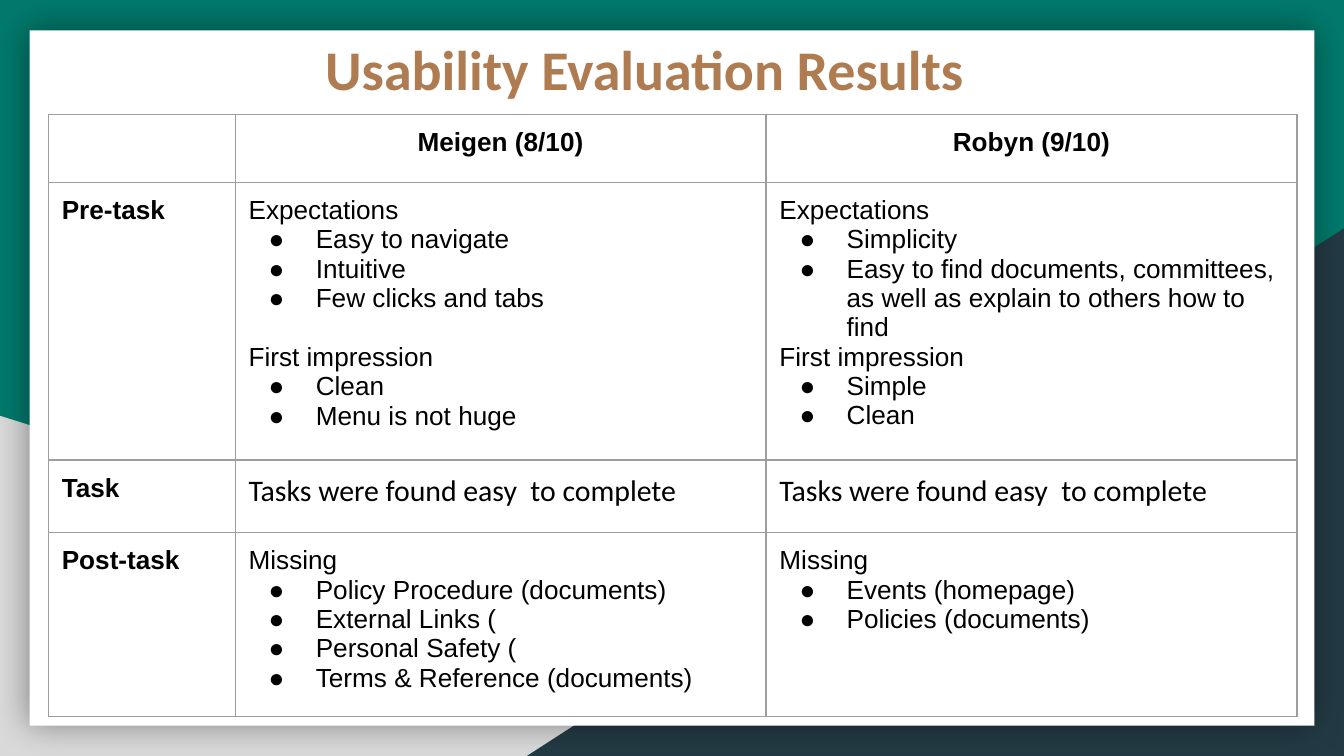
from dataclasses import dataclass

from lxml import etree
from pptx import Presentation
from pptx import util as u
from pptx.dml.color import RGBColor
from pptx.enum import shapes, text
from pptx.oxml.ns import qn

HUES = {
    "green": "00796B", "grey": "D9D9D9", "navy": "233A44", "white": "FFFFFF",
    "brown": "AF7B51", "black": "000000", "rule": "9E9E9E",
}
WIDE, HIGH = u.Inches(10), u.Inches(5.625)
COLS = (13.9, 39.5, 39.5)     # percent of slide width
ROWS = (9, 34.6, 9.6, 23)     # percent of slide height
PAD = u.Inches(0.1)


@dataclass
class Box:
    """A place on the slide, in percent of its width and height."""
    left: float
    top: float
    width: float
    height: float

    def spot(self) -> tuple:
        return (across(self.left), down(self.top),
                across(self.width), down(self.height))


@dataclass
class Panel:
    kind: shapes.MSO_SHAPE
    box: Box
    hue: str
    flip: bool = False
    glow: bool = False


@dataclass
class Line:
    words: str
    dot: bool = False
    gap: int = 0


@dataclass
class Style:
    size: int = 14
    face: str = "Arial"
    bold: bool = False
    hue: str = "black"


def across(share: float) -> int:
    return round(WIDE * share / 100)


def down(share: float) -> int:
    return round(HIGH * share / 100)


def tint(name: str) -> RGBColor:
    return RGBColor.from_string(HUES[name])


def node(root, tag: str, **attrs):
    return etree.SubElement(root, qn(tag), **attrs)


def points(head: str, *words: str, gap: int = 0) -> list[Line]:
    """A heading line and the bullets under it."""
    return [Line(head, gap=gap)] + [Line(word, dot=True) for word in words]


PANELS = (
    Panel(shapes.MSO_SHAPE.RIGHT_TRIANGLE, Box(0, 55, 80.6, 45), "grey"),
    Panel(shapes.MSO_SHAPE.RIGHT_TRIANGLE, Box(39.2, 30.2, 60.8, 69.8), "navy", flip=True),
    Panel(shapes.MSO_SHAPE.RECTANGLE, Box(2.2, 4, 95.6, 92), "white", glow=True),
)
TITLE = Box(20.7, 2.8, 58.6, 14.6)
GRID = Box(3.6, 15.1, sum(COLS), sum(ROWS))

PLAIN, BOLD = Style(), Style(bold=True)
LARGE = Style(16, "Calibri")
DONE = [Line("Tasks were found easy  to complete")]
CELLS = (
    ([], [Line("Meigen (8/10)")], [Line("Robyn (9/10)")]),
    ([Line("Pre-task")],
     points("Expectations", "Easy to navigate", "Intuitive", "Few clicks and tabs")
     + points("First impression", "Clean", "Menu is not huge", gap=16),
     points("Expectations", "Simplicity",
            "Easy to find documents, committees, as well as explain to others how to find")
     + points("First impression", "Simple", "Clean")),
    ([Line("Task")], DONE, DONE),
    ([Line("Post-task")],
     points("Missing", "Policy Procedure (documents)", "External Links (",
            "Personal Safety (", "Terms & Reference (documents)"),
     points("Missing", "Events (homepage)", "Policies (documents)")),
)


def draw_panel(slide, panel: Panel) -> None:
    shape = slide.shapes.add_shape(panel.kind, *panel.box.spot())
    shape.shadow.inherit = False
    shape.fill.solid()
    shape.fill.fore_color.rgb = tint(panel.hue)
    shape.line.fill.background()
    props = shape._element.spPr
    if panel.flip:
        props.find(qn("a:xfrm")).set("flipH", "1")
    if panel.glow:
        shade = node(props.find(qn("a:effectLst")), "a:outerShdw",
                     blurRad=str(u.Pt(18)), dist="0", algn="ctr", rotWithShape="0")
        node(node(shade, "a:srgbClr", val=HUES["black"]), "a:alpha", val="40000")


def dress(para, style: Style) -> None:
    for run in para.runs:
        font = run.font
        font.size, font.name, font.bold = u.Pt(style.size), style.face, style.bold
        font.color.rgb = tint(style.hue)


def add_dot(para) -> None:
    props = para._p.get_or_add_pPr()
    props.set("marL", str(u.Inches(0.5)))
    props.set("indent", str(u.Inches(-0.35)))
    node(node(props, "a:buClr"), "a:srgbClr", val=HUES["black"])
    node(props, "a:buFont", typeface="Arial")
    node(props, "a:buChar", char="●")


def edge(cell) -> None:
    """Rule all four sides of a table cell."""
    props = cell._tc.get_or_add_tcPr()
    for place, side in enumerate("LRTB"):
        rule = etree.Element(qn(f"a:ln{side}"), w=str(u.Pt(0.75)))
        node(node(rule, "a:solidFill"), "a:srgbClr", val=HUES["rule"])
        props.insert(place, rule)


def fill_cell(cell, lines: list[Line], style: Style, mid: bool) -> None:
    cell.margin_left = cell.margin_right = cell.margin_top = cell.margin_bottom = PAD
    cell.fill.background()
    edge(cell)
    frame = cell.text_frame
    frame.text = "\n".join(line.words for line in lines)
    for para, line in zip(frame.paragraphs, lines):
        if mid:
            para.alignment = text.PP_ALIGN.CENTER
        if line.gap:
            para.space_before = u.Pt(line.gap)
        if line.dot:
            add_dot(para)
        dress(para, style)


def draw_title(slide) -> None:
    frame = slide.shapes.add_textbox(*TITLE.spot()).text_frame
    frame.word_wrap = True
    frame.margin_left = u.Inches(0.35)
    frame.margin_right = frame.margin_top = frame.margin_bottom = PAD
    frame.text = "Usability Evaluation Results"
    dress(frame.paragraphs[0], Style(30, "Calibri", True, "brown"))


def draw_table(slide) -> None:
    table = slide.shapes.add_table(len(ROWS), len(COLS), *GRID.spot()).table
    table.first_row = table.horz_banding = False
    for col, share in zip(table.columns, COLS):
        col.width = across(share)
    for row, share in zip(table.rows, ROWS):
        row.height = down(share)
    for r, row in enumerate(CELLS):
        for c, lines in enumerate(row):
            style = BOLD if r == 0 or c == 0 else LARGE if lines is DONE else PLAIN
            fill_cell(table.cell(r, c), lines, style, mid=r == 0)


def main() -> None:
    deck = Presentation()
    deck.slide_width, deck.slide_height = WIDE, HIGH
    slide = deck.slides.add_slide(deck.slide_layouts[6])
    slide.background.fill.solid()
    slide.background.fill.fore_color.rgb = tint("green")
    for panel in PANELS:
        draw_panel(slide, panel)
    draw_title(slide)
    draw_table(slide)
    deck.save("out.pptx")


if __name__ == "__main__":
    main()
